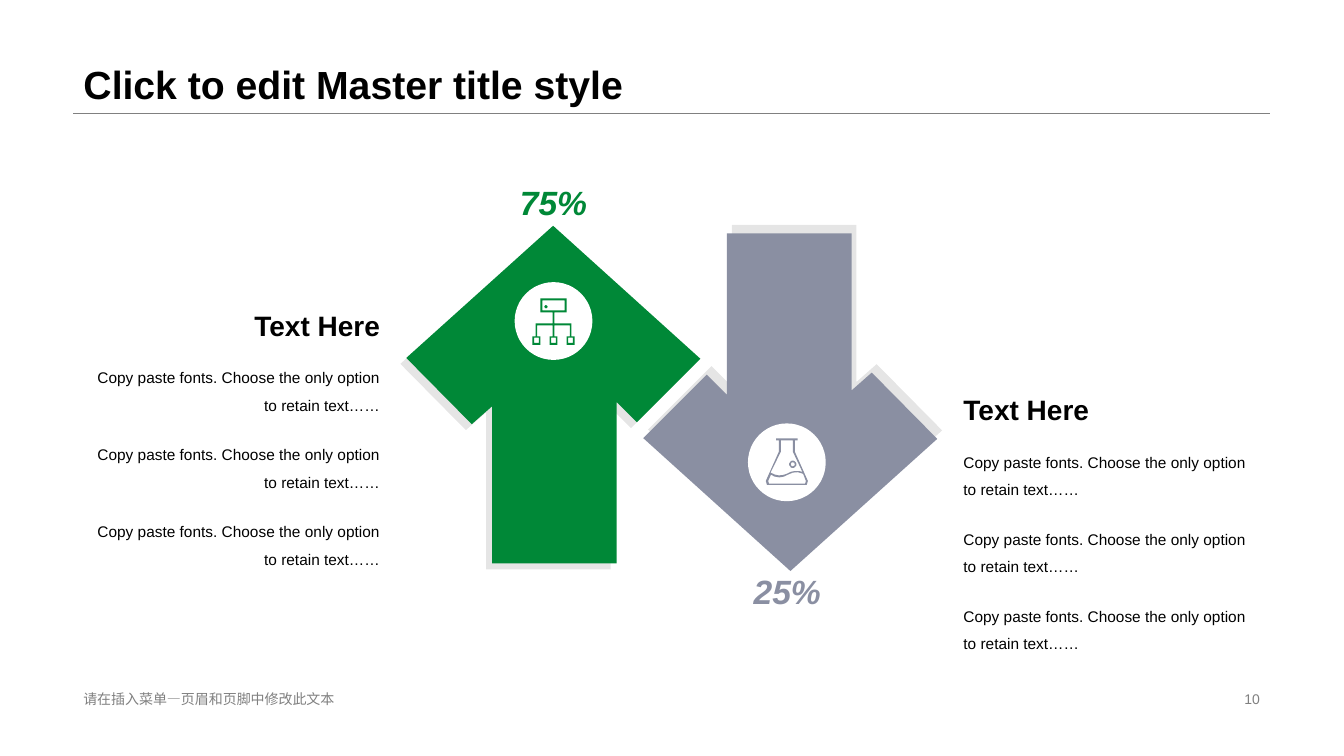
from math import cos, pi, sin

from lxml.etree import SubElement
from pptx import Presentation
from pptx.dml.color import RGBColor as Color
from pptx.enum.shapes import MSO_CONNECTOR as Connector, MSO_SHAPE as Preset
from pptx.enum.text import MSO_ANCHOR as Anchor, MSO_AUTO_SIZE as AutoSize, PP_ALIGN as Align
from pptx.oxml.ns import qn
from pptx.util import Cm, Pt

THEME = {
    "green": Color.from_string("008837"),
    "slate": Color.from_string("8A8FA2"),
    "white": Color.from_string("FFFFFF"),
    "black": Color.from_string("000000"),
    "gray": Color.from_string("808080"),
    "title": {"name": "Arial", "size": Pt(28), "bold": True},
    "percent": {"name": "Arial", "size": Pt(24), "bold": True, "italic": True},
    "heading": {"name": "Arial", "size": Pt(20), "bold": True},
    "body": {"name": "Arial", "size": Pt(11)},
    "footer": {"name": "Arial", "size": Pt(10)},
}

deck = Presentation()
deck.slide_width, deck.slide_height = Cm(33.87), Cm(19.05)
page = deck.slides.add_slide(deck.slide_layouts[5])


def write(box, text, style, color, align=Align.LEFT, anchor=Anchor.MIDDLE, spacing=1.0):
    frame = box.text_frame
    frame_format = {"word_wrap": True, "auto_size": AutoSize.NONE, "vertical_anchor": anchor}
    for name, value in frame_format.items():
        setattr(frame, name, value)
    para = frame.paragraphs[0]
    para.alignment, para.line_spacing = align, spacing
    span = para.add_run()
    span.text = text
    for name, value in THEME[style].items():
        setattr(span.font, name, value)
    span.font.color.rgb = THEME[color]


def trace(contours, center, color):
    builder = None
    for contour in contours:
        points = [(round((center[0] + x) * 100), round((center[1] + y) * 100)) for x, y in contour]
        if builder is None:
            builder = page.shapes.build_freeform(*points[0], scale=Cm(0.01))
        else:
            builder.move_to(*points[0])
        builder.add_line_segments(points[1:], close=True)
    shape = builder.convert_to_shape()
    shape.shadow.inherit = False
    shape.fill.solid()
    shape.fill.fore_color.rgb = THEME[color]
    shape.line.fill.background()
    return shape


title = page.shapes.title
title.left, title.top, title.width, title.height = Cm(1.85), Cm(0), Cm(30.15), Cm(2.84)
write(title, "Click to edit Master title style", "title", "black", anchor=Anchor.BOTTOM, spacing=0.9)

rule = page.shapes.add_connector(Connector.STRAIGHT, Cm(1.85), Cm(2.84), Cm(32), Cm(2.84))
rule.line.color.rgb, rule.line.width = THEME["gray"], Pt(0.25)
SubElement(rule.line._get_or_add_ln().getparent(), qn("a:effectLst"))

footers = [
    (1.85, 11.51, "请在插入菜单—页眉和页脚中修改此文本", Align.LEFT),
    (23.93, 8.07, "10", Align.RIGHT),
]
for left, width, text, align in footers:
    box = page.shapes.add_textbox(Cm(left), Cm(17.32), Cm(width), Cm(0.58))
    write(box, text, "footer", "gray", align)

up_arrow = [
    (13.94, 5.69), (17.65, 9.04), (16.05, 10.64), (15.54, 10.13), (15.54, 14.2),
    (12.4, 14.2), (12.4, 10.24), (11.89, 10.69), (10.24, 9.02),
]
down_arrow = [(33.86 - x, 20.08 - y) for x, y in up_arrow]
for arrow, color, distance, angle in [(up_arrow, "green", 6, 135), (down_arrow, "slate", 7, 300)]:
    shape = trace([arrow], (0, 0), color)
    effects = shape._element.spPr.find(qn("a:effectLst"))
    shadow = SubElement(effects, qn("a:outerShdw"), dist=str(Pt(distance)), dir=str(angle * 60000),
                        algn="ctr", rotWithShape="0")
    shade = SubElement(shadow, qn("a:srgbClr"), val=str(THEME["black"]))
    SubElement(shade, qn("a:alpha"), val="10000")

dot, bubble, bubble_hole = [
    [(x + radius * cos(step * pi / 12), y + radius * sin(step * pi / 12)) for step in range(24)]
    for x, y, radius in [(-0.19, -0.36, 0.04), (0.15, 0.05, 0.09), (0.15, 0.05, 0.05)]
]
windows = [
    [(x - half, top), (x + half, top), (x + half, bottom), (x - half, bottom)]
    for x, half, top, bottom in [
        (0, 0.28, -0.52, -0.27), (-0.43, 0.06, 0.42, 0.55),
        (0, 0.06, 0.42, 0.55), (0.43, 0.06, 0.42, 0.55),
    ]
]
tree_half = [
    (0.33, -0.57), (0.33, -0.22), (0.02, -0.22), (0.02, 0.06), (0.45, 0.06), (0.45, 0.39),
    (0.53, 0.39), (0.53, 0.6), (0.33, 0.6), (0.33, 0.39), (0.41, 0.39), (0.41, 0.11),
    (0.02, 0.11), (0.02, 0.39), (0.1, 0.39), (0.1, 0.6),
]
flask_half = [(0.27, -0.6), (0.27, -0.55), (0.2, -0.55), (0.2, -0.27), (0.53, 0.47), (0.5, 0.57)]
tree, flask = [half + [(-x, y) for x, y in reversed(half)] for half in (tree_half, flask_half)]
flask_air = [
    (0.15, -0.55), (-0.15, -0.55), (-0.15, -0.27), (-0.41, 0.26), (-0.3, 0.31), (-0.2, 0.33),
    (-0.1, 0.32), (0, 0.29), (0.1, 0.24), (0.2, 0.22), (0.3, 0.22), (0.39, 0.24), (0.15, -0.27),
]
flask_liquid = [
    (0.03, 0.31), (-0.07, 0.36), (-0.19, 0.38), (-0.31, 0.36), (-0.4, 0.31), (-0.47, 0.47),
    (-0.45, 0.54), (0.46, 0.54), (0.48, 0.47), (0.41, 0.29), (0.28, 0.25), (0.15, 0.26),
]
icons = [
    ((13.95, 8.09), "green", [tree, *windows, dot]),
    ((19.83, 11.65), "slate", [flask, flask_air, flask_liquid, bubble, bubble_hole]),
]
for center, color, contours in icons:
    disc = page.shapes.add_shape(Preset.OVAL, Cm(center[0] - 0.98), Cm(center[1] - 0.98), Cm(1.96), Cm(1.96))
    disc.shadow.inherit = False
    disc.fill.solid()
    disc.fill.fore_color.rgb = THEME["white"]
    disc.line.fill.background()
    trace(contours, center, color)

for left, top, align in [(1.85, 7.52, Align.RIGHT), (24.03, 9.65, Align.LEFT)]:
    box = page.shapes.add_textbox(Cm(left), Cm(top), Cm(7.98), Cm(1.35))
    write(box, "Text Here", "heading", "black", align)
    for row in range(3):
        box = page.shapes.add_textbox(Cm(left), Cm(top + 1.4 + row * 1.94), Cm(7.98), Cm(1.98))
        write(box, "Copy paste fonts. Choose the only option to retain text……",
              "body", "black", align, Anchor.TOP, 1.5)

for left, top, text, color in [(11.84, 4.32, "75%", "green"), (17.73, 14.12, "25%", "slate")]:
    box = page.shapes.add_textbox(Cm(left), Cm(top), Cm(4.22), Cm(1.4))
    write(box, text, "percent", color, Align.CENTER, Anchor.BOTTOM)

deck.save("out.pptx")
